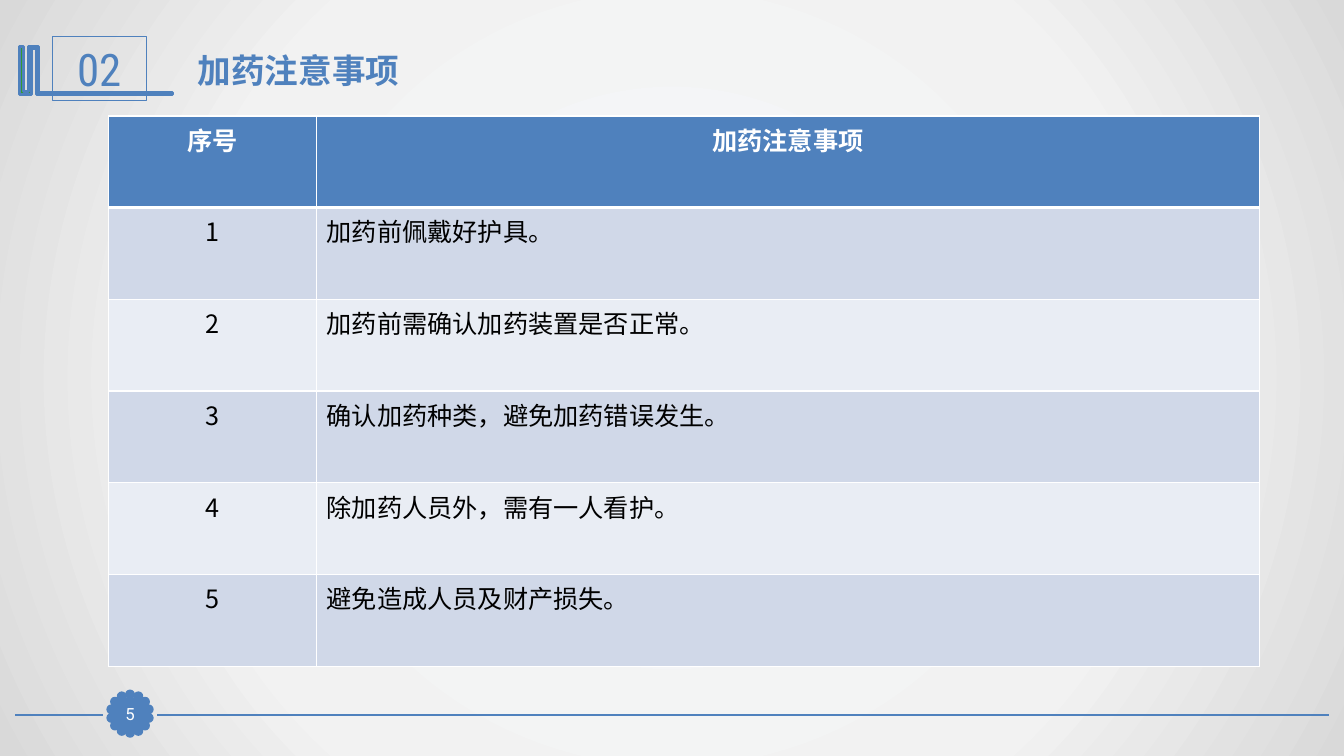
from math import cos, radians, sin

from lxml.etree import SubElement
from pptx import Presentation
from pptx.dml.color import RGBColor
from pptx.enum.shapes import MSO_CONNECTOR as Connector, MSO_SHAPE as Preset
from pptx.enum.text import MSO_ANCHOR as Anchor, PP_ALIGN as Align
from pptx.oxml import parse_xml
from pptx.oxml.ns import nsdecls, qn
from pptx.util import Inches, Pt

COLORS = {
    "blue": "4F81BD",
    "green": "339933",
    "white": "FFFFFF",
    "black": "000000",
    "band_dark": "D0D8E8",
    "band_light": "E9EDF4",
}
BACKDROP = [(0, "F6F9FC"), (63, "F2F2F2"), (100, "D9D9D9")]
CJK_FONT = "Noto Sans CJK SC"

NOTES = [
    "加药前佩戴好护具。",
    "加药前需确认加药装置是否正常。",
    "确认加药种类，避免加药错误发生。",
    "除加药人员外，需有一人看护。",
    "避免造成人员及财产损失。",
]
BOOKMARK = [
    (37, 46), (38, 46), (38, 92), (171, 92), (171, 94), (36, 94), (36, 48),
    (31, 48), (31, 94), (19, 94), (19, 46), (23, 46), (23, 91), (28, 91), (28, 46),
]


def color(name):
    return RGBColor.from_string(COLORS[name])


class SlideBuilder:
    def __init__(self, page):
        self.page = page
        self.shapes = page.shapes

    def backdrop(self, stops):
        marks = "".join(
            f'<a:gs pos="{position * 1000}"><a:srgbClr val="{value}"/></a:gs>'
            for position, value in stops
        )
        self.page.element.cSld.insert(0, parse_xml(
            f'<p:bg {nsdecls("p", "a")}><p:bgPr><a:gradFill rotWithShape="1">'
            f'<a:gsLst>{marks}</a:gsLst><a:path path="circle">'
            '<a:fillToRect l="50000" t="50000" r="50000" b="50000"/></a:path>'
            '</a:gradFill><a:effectLst/></p:bgPr></p:bg>'
        ))

    def paint(self, shape, fill, weight):
        shape.shadow.inherit = False
        if fill:
            shape.fill.solid()
            shape.fill.fore_color.rgb = color(fill)
        else:
            shape.fill.background()
        shape.line.color.rgb = color("blue")
        shape.line.width = Pt(weight)

    def set_text(self, para, text, size, font, tint, bold=False, align=Align.CENTER):
        para.text = text
        para.alignment = align
        para.font.size = Pt(size)
        para.font.name = font
        para.font.bold = bold
        para.font.color.rgb = color(tint)

    def shape(self, preset, left, top, width, height, fill=None, weight=0.75):
        shape = self.shapes.add_shape(
            preset, Inches(left), Inches(top), Inches(width), Inches(height))
        self.paint(shape, fill, weight)
        return shape

    def label(self, left, top, width, height, text, size, font, tint, fill=None):
        box = self.shape(Preset.RECTANGLE, left, top, width, height, fill)
        frame = box.text_frame
        frame.margin_left = frame.margin_right = 0
        frame.margin_top = frame.margin_bottom = 0
        frame.vertical_anchor = Anchor.MIDDLE
        self.set_text(frame.paragraphs[0], text, size, font, tint)

    def line(self, start, end, y):
        line = self.shapes.add_connector(
            Connector.STRAIGHT, Inches(start), Inches(y), Inches(end), Inches(y))
        line.line.color.rgb = color("blue")
        line.line.width = Pt(1.25)
        SubElement(line.element.spPr, qn("a:effectLst"))

    def scallops(self, center_x, center_y, radius, size, count):
        for index in range(count):
            angle = radians(360 / count * index)
            self.shape(
                Preset.OVAL,
                center_x + radius * sin(angle) - size / 2,
                center_y - radius * cos(angle) - size / 2,
                size, size, "blue", 2)

    def outline(self, points, fill, weight):
        builder = self.shapes.build_freeform(*points[0], scale=Inches(0.01))
        builder.add_line_segments(points[1:], close=True)
        self.paint(builder.convert_to_shape(), fill, weight)

    def title(self, left, top, width, height, text):
        title = self.shapes.title
        title.left, title.top = Inches(left), Inches(top)
        title.width, title.height = Inches(width), Inches(height)
        title.text_frame.vertical_anchor = Anchor.TOP
        self.set_text(title.text_frame.paragraphs[0], text, 24, "Roboto", "blue",
                      True, Align.LEFT)

    def cell(self, cell, text, fill, tint, bold, align, bottom):
        properties = cell._tc.get_or_add_tcPr()
        for side, weight in (("L", 1), ("R", 1), ("T", 1), ("B", bottom)):
            properties.append(parse_xml(
                f'<a:ln{side} {nsdecls("a")} w="{Pt(weight)}"><a:solidFill>'
                f'<a:srgbClr val="{COLORS["white"]}"/></a:solidFill></a:ln{side}>'
            ))
        cell.fill.solid()
        cell.fill.fore_color.rgb = color(fill)
        self.set_text(cell.text_frame.paragraphs[0], text, 18, CJK_FONT, tint, bold, align)

    def table(self, left, top, widths, row_height, rows):
        table = self.shapes.add_table(
            len(rows), len(widths), Inches(left), Inches(top),
            Inches(sum(widths)), Inches(row_height * len(rows))).table
        for column, width in zip(table.columns, widths):
            column.width = Inches(width)
        for row_index, row in enumerate(rows):
            table.rows[row_index].height = Inches(row_height)
            header = row_index == 0
            band = "band_dark" if row_index % 2 else "band_light"
            for column_index, text in enumerate(row):
                centered = header or column_index == 0
                self.cell(
                    table.cell(row_index, column_index), text,
                    "blue" if header else band,
                    "white" if header else "black", header,
                    Align.CENTER if centered else Align.LEFT,
                    3 if header else 1)


def main():
    deck = Presentation()
    deck.slide_width, deck.slide_height = Inches(13.33), Inches(7.5)
    page = deck.slides.add_slide(deck.slide_layouts[5])
    slide = SlideBuilder(page)
    slide.backdrop(BACKDROP)
    slide.line(13.18, 1.56, 7.09)
    slide.line(1.02, 0.15, 7.09)
    slide.scallops(1.29, 7.08, 0.19, 0.07, 14)
    slide.outline(BOOKMARK, "green", 2)
    slide.label(0.52, 0.36, 0.93, 0.64, "02", 32, "Roboto Condensed", "blue")
    slide.label(1.13, 6.93, 0.32, 0.31, "5", 12, "Roboto", "white", "blue")
    slide.title(1.86, 0.44, 9.69, 0.5, "加药注意事项")
    header = ("序号", "加药注意事项")
    numbered = [(str(number), note) for number, note in enumerate(NOTES, 1)]
    slide.table(1.08, 1.15, [2.06, 9.35], 0.91, [header, *numbered])
    deck.save("out.pptx")


if __name__ == "__main__":
    main()
